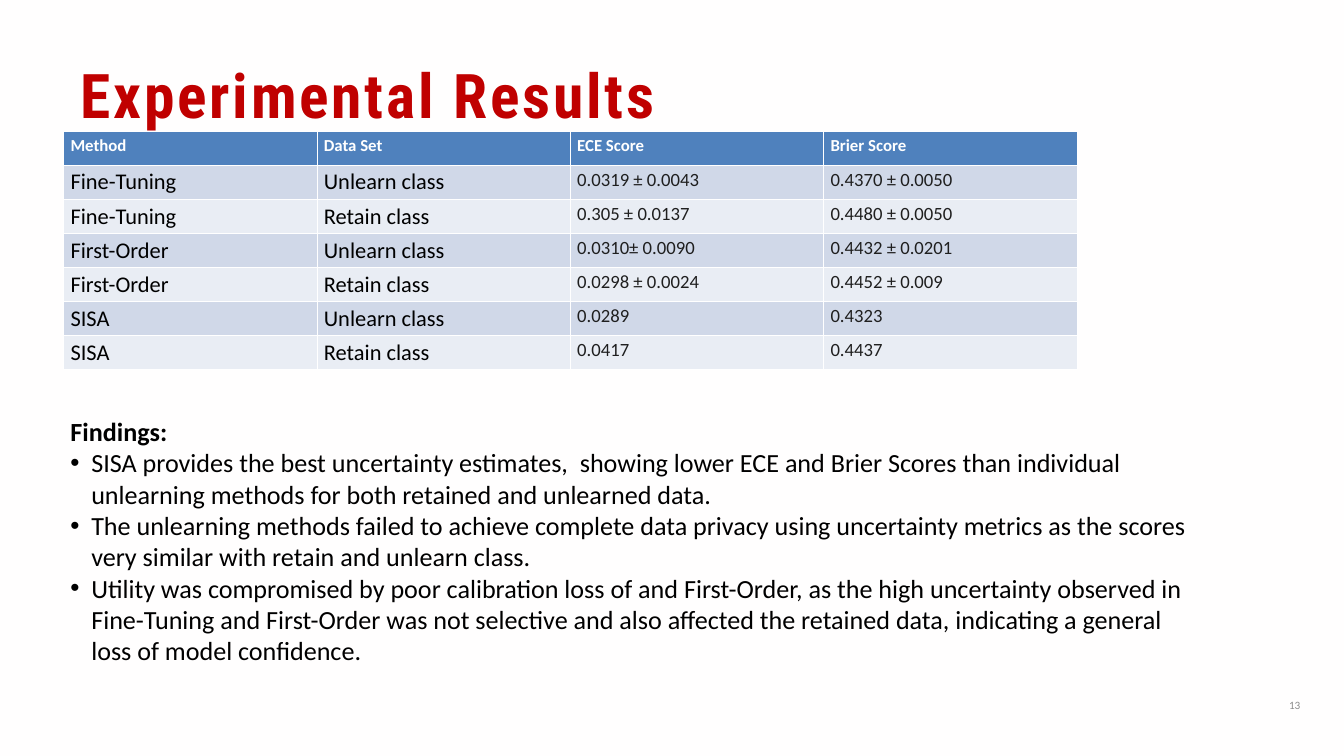
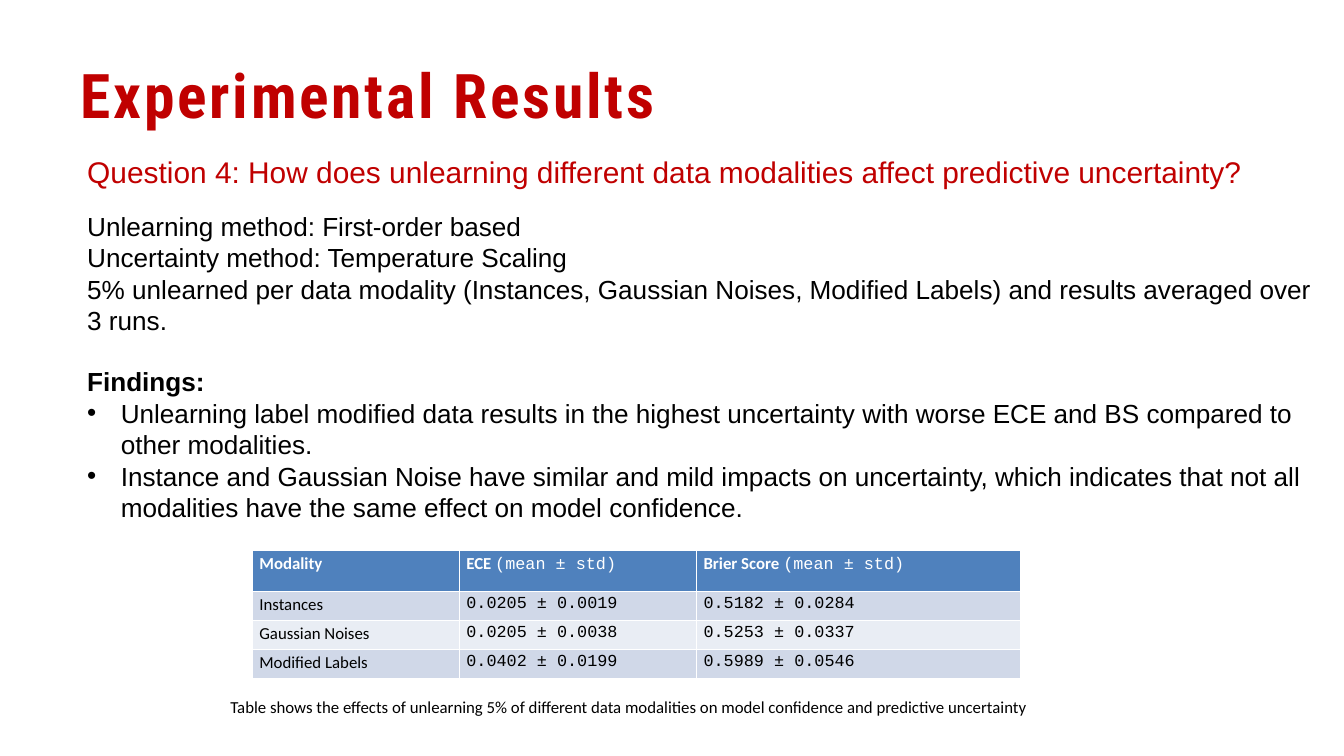
from lxml import etree
from pptx import Presentation
from pptx.dml.color import RGBColor
from pptx.enum.text import MSO_ANCHOR, MSO_AUTO_SIZE, PP_ALIGN
from pptx.oxml.ns import qn
from pptx.util import Emu, Pt

TOP, MIDDLE = MSO_ANCHOR.TOP, MSO_ANCHOR.MIDDLE
LEFT, RIGHT = PP_ALIGN.LEFT, PP_ALIGN.RIGHT
NO_FIT = MSO_AUTO_SIZE.NONE
TITLE_ONLY = 5
PX = 9144

COLORS = {
    "red": "C00000", "black": "000000", "ink": "1F1F1F", "grey": "8C8C8C",
    "white": "FFFFFF", "paper": "FFFEFE", "header": "4F81BD",
    "odd": "D0D8E8", "even": "E9EDF4",
}
SANS, BODY, MONO, DISPLAY = "Calibri", "Arial", "Courier New", "Roboto Condensed"

SCORES = [
    ["Fine-Tuning", "Unlearn class", "0.0319 ± 0.0043", "0.4370 ± 0.0050"],
    ["Fine-Tuning", "Retain class", "0.305 ± 0.0137", "0.4480 ± 0.0050"],
    ["First-Order", "Unlearn class", "0.0310± 0.0090", "0.4432 ± 0.0201"],
    ["First-Order", "Retain class", "0.0298 ± 0.0024", "0.4452 ± 0.009"],
    ["SISA", "Unlearn class", "0.0289", "0.4323"],
    ["SISA", "Retain class", "0.0417", "0.4437"],
]
SCORE_FINDINGS = [
    "SISA provides the best uncertainty estimates,  showing lower ECE and Brier Scores "
    "than individual unlearning methods for both retained and unlearned data.",
    "The unlearning methods failed to achieve complete data privacy using uncertainty "
    "metrics as the scores very similar with retain and unlearn class.",
    "Utility was compromised by poor calibration loss of and First-Order, as the high "
    "uncertainty observed in Fine-Tuning and First-Order was not selective and also "
    "affected the retained data, indicating a general loss of model confidence.",
]
MODALITIES = [
    ["Instances", "0.0205 ± 0.0019", "0.5182 ± 0.0284"],
    ["Gaussian Noises", "0.0205 ± 0.0038", "0.5253 ± 0.0337"],
    ["Modified Labels", "0.0402 ± 0.0199", "0.5989 ± 0.0546"],
]
SETUP = [
    "Unlearning method: First-order based",
    "Uncertainty method: Temperature Scaling",
    "5% unlearned per data modality (Instances, Gaussian Noises, Modified Labels) "
    "and results averaged over 3 runs.",
]
MODALITY_FINDINGS = [
    "Unlearning label modified data results in the highest uncertainty with worse ECE "
    "and BS compared to other modalities.",
    "Instance and Gaussian Noise have similar and mild impacts on uncertainty, which "
    "indicates that not all modalities have the same effect on model confidence.",
]


def px(n):
    return Emu(n * PX)


def rgb(name):
    return RGBColor.from_string(COLORS[name])


def write(p, text, size=28, font=SANS, color="black", bold=False, spacing=0):
    r = p.add_run()
    r.text = text
    r.font.size, r.font.name, r.font.bold = Pt(size), font, bold
    r.font.color.rgb = rgb(color)
    if spacing:
        r.font._element.set("spc", str(spacing * 100))


def next_paragraph(tf):
    return tf.add_paragraph() if tf.paragraphs[0].runs else tf.paragraphs[0]


def add_line(tf, text, before=0, **fmt):
    p = next_paragraph(tf)
    if before:
        p.space_before = Pt(before)
    write(p, text, **fmt)
    return p


def add_bullet(tf, text, indent, **fmt):
    p = next_paragraph(tf)
    pPr = p._p.get_or_add_pPr()
    pPr.set("marL", str(px(indent)))
    pPr.set("indent", str(-px(indent)))
    etree.SubElement(pPr, qn("a:buFont")).set("typeface", "Arial")
    etree.SubElement(pPr, qn("a:buChar")).set("char", "•")
    write(p, text, **fmt)


def add_text(s, box, anchor=TOP):
    tf = s.shapes.add_textbox(*map(px, box)).text_frame
    tf.word_wrap, tf.auto_size, tf.vertical_anchor = True, NO_FIT, anchor
    return tf


def add_findings(tf, findings, indent, before=0, font=SANS):
    add_line(tf, "Findings:", before, font=font, bold=True)
    for text in findings:
        add_bullet(tf, text, indent, font=font)


def add_slide(prs, background):
    s = prs.slides.add_slide(prs.slide_layouts[TITLE_ONLY])
    s.background.fill.solid()
    s.background.fill.fore_color.rgb = rgb(background)
    title = s.shapes.title
    title.left, title.top, title.width, title.height = map(px, (120, 0, 1790, 170))
    tf = title.text_frame
    tf.margin_left = tf.margin_top = tf.margin_right = tf.margin_bottom = 0
    tf.word_wrap, tf.auto_size, tf.vertical_anchor = True, NO_FIT, TOP
    p = tf.paragraphs[0]
    p.alignment, p.line_spacing = LEFT, Pt(140.1)
    write(p, "Experimental Results", size=66, font=DISPLAY, color="red",
          bold=True, spacing=3)
    return s


def add_grid(s, left, top, widths, heights, headers, rows, formats):
    frame = s.shapes.add_table(len(heights), len(widths), px(left), px(top),
                               px(sum(widths)), px(sum(heights)))
    table = frame.table
    for column, width in zip(table.columns, widths):
        column.width = px(width)
    for row, height in zip(table.rows, heights):
        row.height = px(height)
    for i, values in enumerate([headers] + rows):
        fill = "header" if i == 0 else "odd" if i % 2 else "even"
        for j, value in enumerate(values):
            cell = table.cell(i, j)
            cell.fill.solid()
            cell.fill.fore_color.rgb = rgb(fill)
            p = cell.text_frame.paragraphs[0]
            if i:
                write(p, value, **formats[j])
                continue
            name, bracket, unit = value.partition("(")
            write(p, name, size=18, color="white", bold=True)
            if unit:
                write(p, bracket + unit, size=18, font=MONO, color="white")


def method_slide(prs):
    s = add_slide(prs, "paper")
    p = add_line(add_text(s, (1712, 1029, 233, 40), MIDDLE), "13", size=12, color="grey")
    p.alignment = RIGHT
    add_findings(add_text(s, (95, 613, 1682, 387)), SCORE_FINDINGS, 31)
    label, score = {"size": 24}, {"size": 20, "color": "ink"}
    add_grid(s, 95, 196, [377] * 4, [50] * 7,
             ["Method", "Data Set", "ECE Score", "Brier Score"],
             SCORES, [label, label, score, score])


def modality_slide(prs):
    s = add_slide(prs, "white")
    tf = add_text(s, (120, 223, 1844, 902))
    add_line(tf, "Question 4: How does unlearning different data modalities affect "
             "predictive uncertainty?", size=32, font=BODY, color="red")
    for i, text in enumerate(SETUP):
        add_line(tf, text, 0 if i else 23, font=BODY)
    add_findings(tf, MODALITY_FINDINGS, 50, before=32, font=BODY)
    add_line(add_text(s, (333, 1032, 1266, 40)),
             "Table shows the effects of unlearning 5% of different data modalities "
             "on model confidence and predictive uncertainty", size=18)
    label, score = {"size": 18}, {"size": 18, "font": MONO}
    add_grid(s, 376, 819, [308, 353, 482], [61] + [43] * 3,
             ["Modality", "ECE (mean ± std)", "Brier Score (mean ± std)"],
             MODALITIES, [label, score, score])


def main():
    prs = Presentation()
    prs.slide_width, prs.slide_height = px(2000), px(1125)
    method_slide(prs)
    modality_slide(prs)
    prs.save("out.pptx")


if __name__ == "__main__":
    main()
